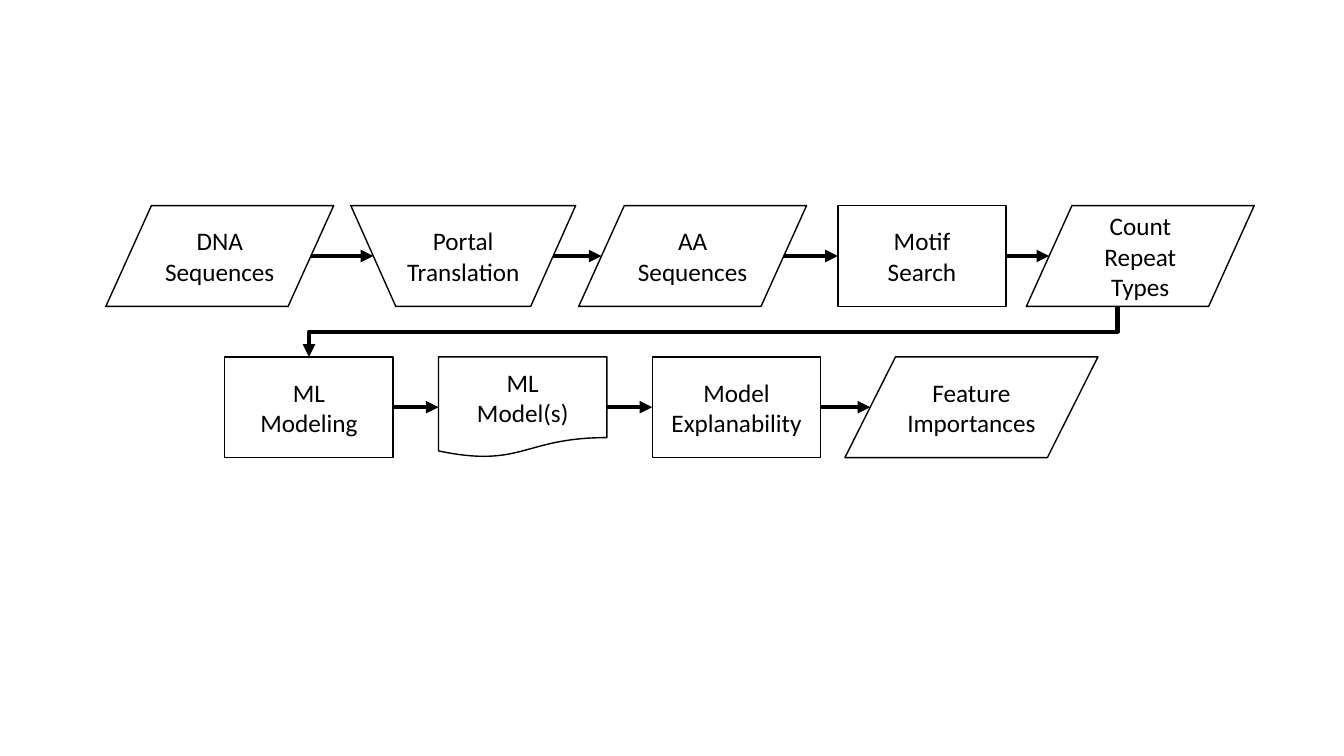
from lxml import etree
from pptx import Presentation
from pptx import util as u
from pptx.dml import color
from pptx.enum import shapes, text
from pptx.oxml import ns

SHAPE = shapes.MSO_SHAPE
DATA = SHAPE.FLOWCHART_DATA
PROCESS = SHAPE.FLOWCHART_PROCESS
MANUAL = SHAPE.FLOWCHART_MANUAL_OPERATION
DOCUMENT = SHAPE.FLOWCHART_DOCUMENT
SLANTED = (DATA, MANUAL)
INK = "000000"
STEP_HEIGHT = 1
SEQUENCE_STEPS = [
    (DATA, 1.05, 2.26, "DNA Sequences"),
    (MANUAL, 3.48, 2.23, "Portal Translation"),
    (DATA, 5.74, 2.26, "AA\nSequences"),
    (PROCESS, 8.31, 1.67, "Motif\nSearch"),
    (DATA, 10.18, 2.26, "Count Repeat Types"),
]
MODEL_STEPS = [
    (PROCESS, 2.23, 1.67, "ML\nModeling"),
    (DOCUMENT, 4.35, 1.67, "ML\nModel(s)"),
    (PROCESS, 6.47, 1.67, "Model Explanability"),
    (DATA, 8.38, 2.51, "Feature Importances"),
]


def paint(target, hex_code):
    target.rgb = color.RGBColor.from_string(hex_code)


def add_step(page, kind, left, top, width, label):
    step = page.shapes.add_shape(
        kind, u.Inches(left), u.Inches(top), u.Inches(width), u.Inches(STEP_HEIGHT))
    step.shadow.inherit = False
    step.fill.background()
    paint(step.line.color, INK)
    step.line.width = u.Pt(1)
    frame = step.text_frame
    frame.text = label
    frame.word_wrap = True
    frame.vertical_anchor = text.MSO_ANCHOR.MIDDLE
    for para in frame.paragraphs:
        para.alignment = text.PP_ALIGN.CENTER
        for span in para.runs:
            span.font.name = "Calibri"
            span.font.size = u.Pt(18)
            paint(span.font.color, INK)


def add_arrow(page, kind, start, end):
    points = [u.Inches(value) for value in (*start, *end)]
    arrow = page.shapes.add_connector(kind, *points)
    paint(arrow.line.color, INK)
    arrow.line.width = u.Pt(3)
    properties = arrow._element.spPr
    outline = properties.find(ns.qn("a:ln"))
    etree.SubElement(outline, ns.qn("a:tailEnd"), type="triangle")
    etree.SubElement(properties, ns.qn("a:effectLst"))
    return arrow


def add_flow_row(page, top, steps):
    for kind, left, width, label in steps:
        add_step(page, kind, left, top, width, label)
    middle = top + STEP_HEIGHT / 2
    for source, target in zip(steps, steps[1:]):
        kind, left, width, _ = source
        start = left + width * (0.9 if kind in SLANTED else 1)
        kind, left, width, _ = target
        end = left + width * (0.1 if kind in SLANTED else 0)
        add_arrow(page, shapes.MSO_CONNECTOR.STRAIGHT, (start, middle), (end, middle))


def add_row_link(page, start, end):
    center_x = (start[0] + end[0]) / 2
    center_y = (start[1] + end[1]) / 2
    half_width = (end[1] - start[1]) / 2
    half_height = (start[0] - end[0]) / 2
    link = add_arrow(
        page, shapes.MSO_CONNECTOR.ELBOW,
        (center_x - half_width, center_y - half_height),
        (center_x + half_width, center_y + half_height))
    link._element.spPr.find(ns.qn("a:xfrm")).set("rot", str(90 * 60000))


def add_pipeline(page, top):
    model_top = top + 1.5
    add_flow_row(page, top, SEQUENCE_STEPS)
    add_flow_row(page, model_top, MODEL_STEPS)
    _, last_left, last_width, _ = SEQUENCE_STEPS[-1]
    _, first_left, first_width, _ = MODEL_STEPS[0]
    add_row_link(
        page,
        (last_left + last_width * 0.4, top + STEP_HEIGHT),
        (first_left + first_width / 2, model_top))


deck = Presentation()
deck.slide_width = u.Inches(13.33)
deck.slide_height = u.Inches(7.5)
page = deck.slides.add_slide(deck.slide_layouts[6])
add_pipeline(page, 2.04)
deck.save("out.pptx")
